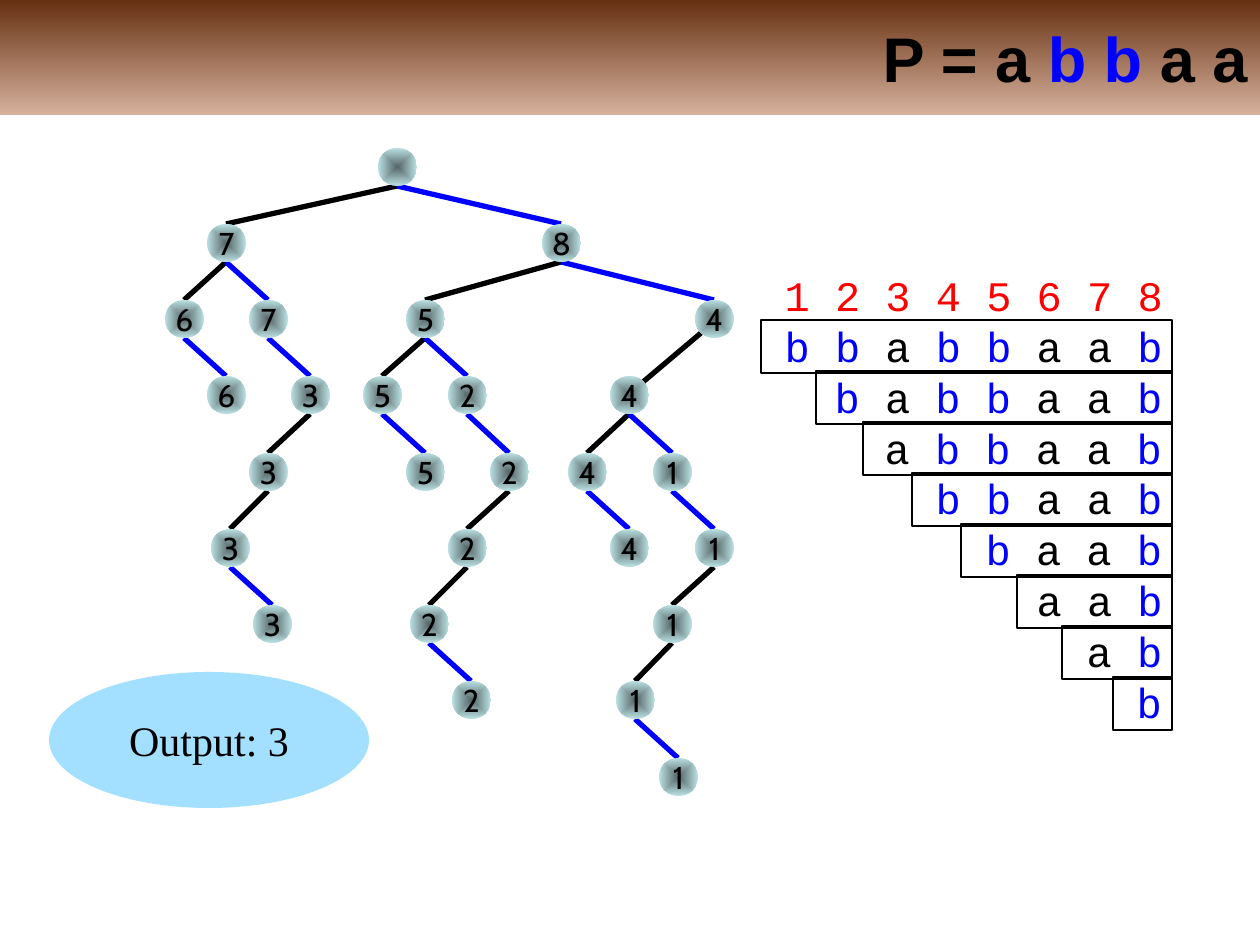
from itertools import groupby

from lxml import etree
from pptx import Presentation
from pptx import util as u
from pptx.dml.color import RGBColor
from pptx.enum import shapes, text
from pptx.oxml.ns import qn

PX = 914400 / 126
BLACK, BLUE, RED = "000000", "0000FF", "FF0000"
LETTER_COLORS = {"b": BLUE}
STRING = "bbabbaab"
NODE_W, NODE_H = 39, 38

# Each node is keyed by the letters on its way from the root: (centre x, label).
TRIE = {
    "": (397, ""),
    "a": (226, "7"), "b": (561, "8"),
    "aa": (184, "6"), "ab": (268, "7"), "ba": (425, "5"), "bb": (714, "4"),
    "aab": (226, "6"), "abb": (310, "3"), "baa": (382, "5"),
    "bab": (467, "2"), "bba": (629, "4"),
    "abba": (268, "3"), "baab": (425, "5"), "babb": (509, "2"),
    "bbaa": (587, "4"), "bbab": (672, "1"),
    "abbaa": (230, "3"), "babba": (467, "2"), "bbaab": (629, "4"),
    "bbabb": (714, "1"),
    "abbaab": (272, "3"), "babbaa": (429, "2"), "bbabba": (672, "1"),
    "babbaab": (471, "2"), "bbabbaa": (635, "1"),
    "bbabbaab": (678, "1"),
}
SLANTED_EDGES = {"bba": (701, 333, 643, 382)}
SUFFIX_LEFTS = [761, 816, 863, 912, 961, 1017, 1062, 1113]
SUFFIX_RIGHT = 1172


def px(length):
    return u.Emu(round(length * PX))


def rgb(color):
    return RGBColor.from_string(color)


def level_top(word):
    return 148 + len(word) * 305 // 4


class TrieSlide:
    def __init__(self, slide):
        self.slide = slide

    def place(self, shape, left, top, width, height):
        shape.left, shape.top = px(left), px(top)
        shape.width, shape.height = px(width), px(height)

    def style(self, font, name, size, color=BLACK, bold=False):
        font.name, font.size, font.bold = name, u.Pt(size), bold
        font.color.rgb = rgb(color)

    def gradient(self, shape, start, end):
        shape.fill.gradient()
        for stop, color in zip(shape.fill.gradient_stops, (start, end)):
            stop.color.rgb = rgb(color)

    def letters(self, paragraph, line, name, size, bold=False):
        """Write spaced letters, one run for each stretch of one colour."""
        stretches = groupby(line.split(), lambda s: LETTER_COLORS.get(s, BLACK))
        for index, (color, stretch) in enumerate(stretches):
            run = paragraph.add_run()
            run.text = (" " if index else "") + " ".join(stretch)
            self.style(run.font, name, size, color, bold)

    def title(self, line):
        title = self.slide.shapes.title
        self.place(title, 0, 0, 1260, 115)
        self.gradient(title, "663012", "D6B19C")
        title.fill.gradient_angle = 270
        frame = title.text_frame
        frame.auto_size = text.MSO_AUTO_SIZE.NONE
        frame.vertical_anchor = text.MSO_ANCHOR.MIDDLE
        frame.paragraphs[0].alignment = text.PP_ALIGN.RIGHT
        self.letters(frame.paragraphs[0], line, "Arial", 36, bold=True)

    def suffix_list(self, string):
        """Position numbers, then every suffix indented to its position."""
        body = self.slide.placeholders[1]
        self.place(body, 772, 273, 460, 567)
        frame = body.text_frame
        frame.auto_size = text.MSO_AUTO_SIZE.NONE
        positions = " ".join(str(n + 1) for n in range(len(string)))
        frame.text = positions
        header = frame.paragraphs[0]
        self.list_format(header, 0, 0)
        self.style(header.runs[0].font, "Courier New", 24, RED)
        for start in range(len(string)):
            row = frame.add_paragraph()
            self.list_format(row, start * 252 // 5, 6)
            self.letters(row, " ".join(string[start:]), "Courier New", 24)

    def list_format(self, paragraph, indent, space_before):
        properties = paragraph._p.get_or_add_pPr()
        properties.set("marL", str(px(indent)))
        properties.set("indent", "0")
        etree.SubElement(properties, qn("a:buNone"))
        paragraph.line_spacing = 0.8
        paragraph.space_before = u.Pt(space_before)

    def shape(self, kind, left, top, width, height):
        shape = self.slide.shapes.add_shape(
            kind, px(left), px(top), px(width), px(height))
        shape.shadow.inherit = False
        return shape

    def oval(self, left, top, width, height, label, name, size):
        oval = self.shape(shapes.MSO_SHAPE.OVAL, left, top, width, height)
        oval.line.fill.background()
        if label:
            frame = oval.text_frame
            frame.word_wrap = False
            frame.vertical_anchor = text.MSO_ANCHOR.MIDDLE
            frame.text = label
            frame.paragraphs[0].alignment = text.PP_ALIGN.CENTER
            self.style(frame.paragraphs[0].runs[0].font, name, size)
        return oval

    def node(self, word):
        center, label = TRIE[word]
        node = self.oval(center - NODE_W // 2, level_top(word),
                         NODE_W, NODE_H, label, "Cabin", 18)
        self.gradient(node, "566768", "BBE0E3")
        fill = node.element.spPr.find(qn("a:gradFill"))
        fill.remove(fill.find(qn("a:lin")))
        rings = etree.SubElement(fill, qn("a:path"), path="rect")
        etree.SubElement(rings, qn("a:fillToRect"),
                         dict.fromkeys("ltrb", "50000"))

    def edge(self, word):
        """Join a node to its parent, coloured by the letter it adds."""
        parent = word[:-1]
        ends = SLANTED_EDGES.get(word, (
            TRIE[parent][0], level_top(parent) + NODE_H,
            TRIE[word][0], level_top(word)))
        edge = self.slide.shapes.add_connector(
            shapes.MSO_CONNECTOR.STRAIGHT, *map(px, ends))
        edge.line.color.rgb = rgb(LETTER_COLORS.get(word[-1], BLACK))
        edge.line.width = u.Pt(3)
        etree.SubElement(edge.element.spPr, qn("a:effectLst"))

    def suffix_frame(self, row, left):
        frame = self.shape(shapes.MSO_SHAPE.RECTANGLE, left, 320 + 51 * row,
                           SUFFIX_RIGHT - left, 53)
        frame.fill.background()
        frame.line.color.rgb = rgb(BLACK)
        frame.line.width = u.Pt(0.75)

    def output(self, label):
        bubble = self.oval(49, 672, 320, 136, label, "Times New Roman", 24)
        bubble.fill.solid()
        bubble.fill.fore_color.rgb = rgb("66CCFF")
        color = bubble.element.spPr.find(qn("a:solidFill"))[0]
        etree.SubElement(color, qn("a:alpha"), val="60000")


def main():
    deck = Presentation()
    deck.slide_width, deck.slide_height = px(1260), px(945)
    page = TrieSlide(deck.slides.add_slide(deck.slide_layouts[1]))
    page.title("P = a b b a a")
    for word in filter(None, TRIE):
        page.edge(word)
    for word in TRIE:
        page.node(word)
    page.suffix_list(STRING)
    for row, left in enumerate(SUFFIX_LEFTS):
        page.suffix_frame(row, left)
    page.output("Output: 3")
    deck.save("out.pptx")


if __name__ == "__main__":
    main()
